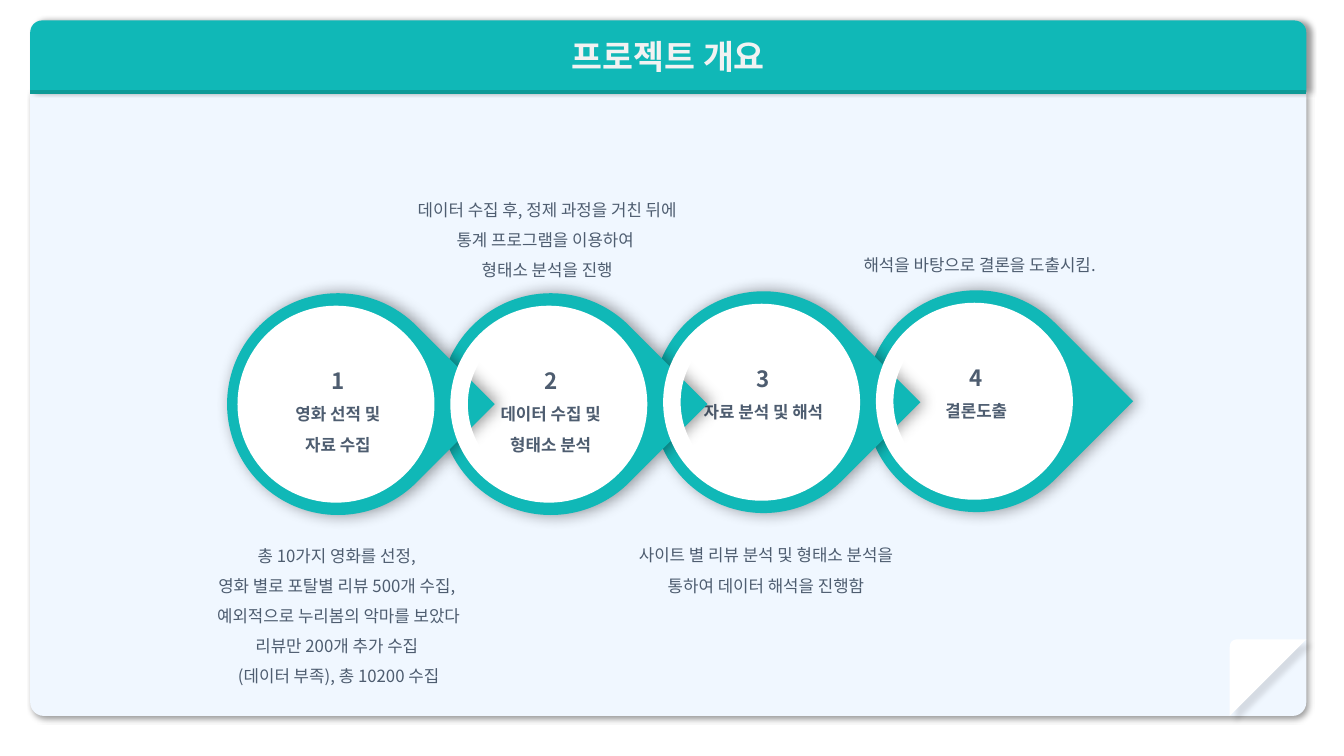
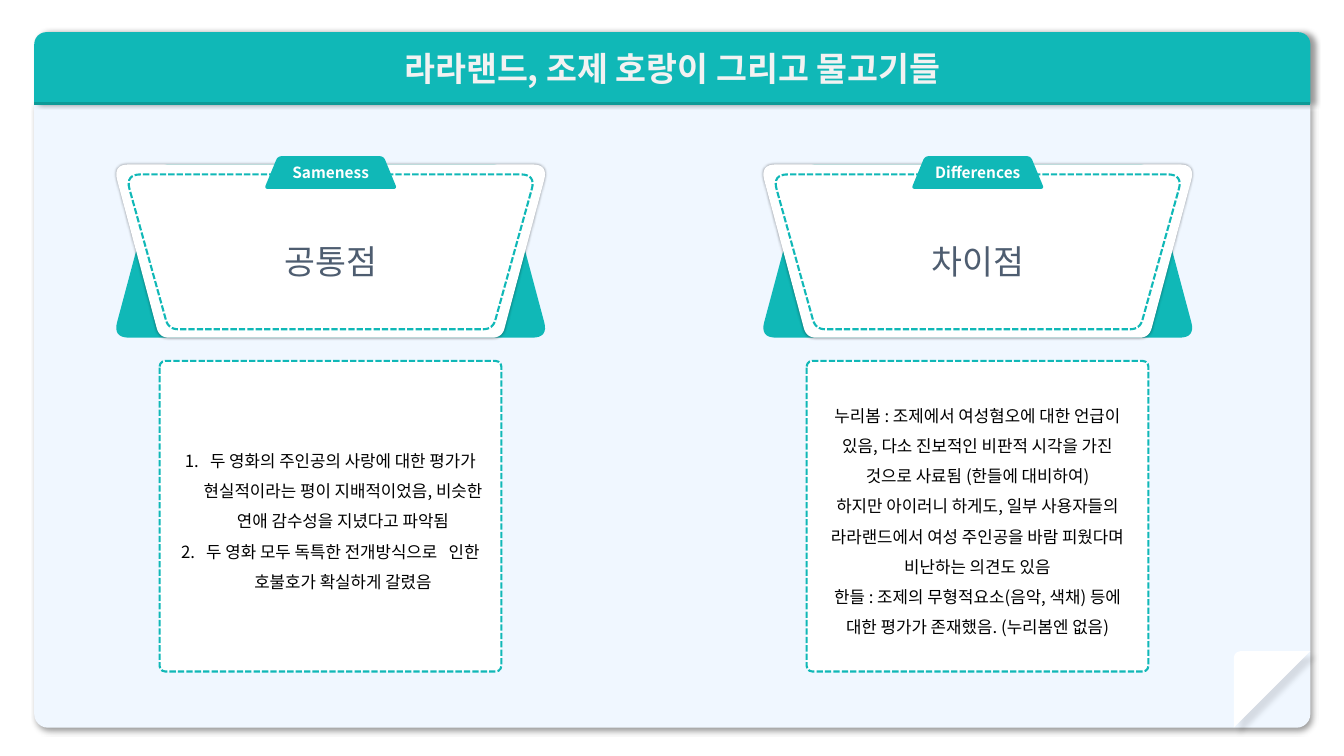
from math import hypot

from lxml import etree
from pptx import Presentation
from pptx.dml.color import RGBColor
from pptx.enum.dml import MSO_LINE
from pptx.enum.shapes import MSO_CONNECTOR, MSO_SHAPE
from pptx.enum.text import MSO_ANCHOR, MSO_AUTO_SIZE, PP_ALIGN
from pptx.oxml.ns import qn
from pptx.util import Pt

# Shared style
FONT = "Noto Sans CJK KR"
COLORS = {
    "teal": "10B8B7", "dark_teal": "0D9A97", "paper": "F0F7FF", "white": "FFFFFF",
    "title": "F2F2F2", "slate": "4E5D70", "black": "000000",
}
CENTER = PP_ALIGN.CENTER
MIDDLE, TOP = MSO_ANCHOR.MIDDLE, MSO_ANCHOR.TOP
NO_AUTOFIT = MSO_AUTO_SIZE.NONE
DASH = MSO_LINE.SQUARE_DOT
STRAIGHT = MSO_CONNECTOR.STRAIGHT
BAND, OVAL = MSO_SHAPE.ROUND_2_SAME_RECTANGLE, MSO_SHAPE.OVAL
DROP, ROUNDED = MSO_SHAPE.TEAR, MSO_SHAPE.ROUNDED_RECTANGLE
TITLE_ONLY = 5

FRAME_WIDTH, BAND_HEIGHT, PAPER_HEIGHT, FOLD = 911.5, 51.1, 445.7, 54.7
DROP_SIZE, DISC_SIZE, RING_SIZE = 158.4, 121, 128.2

# Slide content
FIRST_STEP_X, STEP_PITCH = 241.4, 152
STEPS = [  # centre y, heading lines, bottom inset
    (288.7, ["영화 선적 및", "자료 수집"], 3.6),
    (288.7, ["데이터 수집 및", "형태소 분석"], 3.6),
    (287.3, ["자료 분석 및 해석"], 25.2),
    (286.6, ["결론도출"], 25.2),
]
CAPTIONS = [  # left, top, height, paragraphs
    (136.8, 378.7, 113.8, ["총 10가지 영화를 선정, ", "영화 별로 포탈별 리뷰 500개 수집, ",
                           "예외적으로 누리봄의 악마를 보았다 리뷰만 200개 추가 수집 ",
                           "(데이터 부족), 총 10200 수집"]),
    (285.8, 131.8, 69.8, ["데이터 수집 후, 정제 과정을 거친 뒤에 통계 프로그램을 이용하여 ",
                          "형태소 분석을 진행"]),
    (442.1, 378.7, 48.2, ["사이트 별 리뷰 분석 및 형태소 분석을 통하여 데이터 해석을 진행함"]),
    (594.7, 171.4, 25.9, ["해석을 바탕으로 결론을 도출시킴."]),
]
FIRST_PANEL_X, PANEL_PITCH = 236.2, 462.2
PANELS = [  # tab, heading, paragraphs, numbered
    ("Sameness", "공통점",
     ["두 영화의 주인공의 사랑에 대한 평가가 현실적이라는 평이 지배적이었음, "
      "비슷한 연애 감수성을 지녔다고 파악됨",
      "두 영화 모두 독특한 전개방식으로   인한 호불호가 확실하게 갈렸음"], True),
    ("Differences", "차이점",
     ["누리봄 : 조제에서 여성혐오에 대한 언급이 있음, 다소 진보적인 비판적 시각을 가진 "
      "것으로 사료됨 (한들에 대비하여)",
      "하지만 아이러니 하게도, 일부 사용자들의 라라랜드에서 여성 주인공을 바람 피웠다며 "
      "비난하는 의견도 있음",
      "한들 : 조제의 무형적요소(음악, 색채) 등에 대한 평가가 존재했음. (누리봄엔 없음)"], False),
]


def rgb(name):
    return RGBColor.from_string(COLORS[name])


def style(shape, fill=None, line=None, weight=1.5, dashed=False, shadow=None):
    """Set fill, outline and shadow; shadow is (alpha, blur, distance, angle)."""
    if fill:
        shape.fill.solid()
        shape.fill.fore_color.rgb = rgb(fill)
    else:
        shape.fill.background()
    if line:
        shape.line.color.rgb = rgb(line)
        shape.line.width = Pt(weight)
        if dashed:
            shape.line.dash_style = DASH
    else:
        shape.line.fill.background()
    shape.shadow.inherit = False
    if shadow:
        alpha, blur, distance, angle = shadow
        effects = shape.element.spPr.find(qn("a:effectLst"))
        outer = etree.SubElement(
            effects, qn("a:outerShdw"), blurRad=str(Pt(blur)), dist=str(Pt(distance)),
            dir=str(angle * 60000), algn="ctr", rotWithShape="0")
        color = etree.SubElement(outer, qn("a:srgbClr"), val=COLORS["black"])
        etree.SubElement(color, qn("a:alpha"), val=str(alpha * 1000))


def add_preset(slide, kind, left, top, width, height, **look):
    shape = slide.shapes.add_shape(kind, Pt(left), Pt(top), Pt(width), Pt(height))
    style(shape, **look)
    return shape


def add_round(slide, kind, x, y, size, **look):
    """Add a square-framed preset centred on x, y."""
    return add_preset(slide, kind, x - size / 2, y - size / 2, size, size, **look)


def write(shape, lines, color, size=12, bold=False, spacing=1.5, anchor=MIDDLE,
          wrap=True, numbered=False):
    """Write centred paragraphs; a line may be a (text, size) pair."""
    frame = shape.text_frame
    frame.word_wrap = wrap
    frame.auto_size = NO_AUTOFIT
    frame.vertical_anchor = anchor
    for index, line in enumerate(lines):
        text, points = line if isinstance(line, tuple) else (line, size)
        paragraph = frame.add_paragraph() if index else frame.paragraphs[0]
        paragraph.alignment = CENTER
        paragraph.line_spacing = spacing
        if numbered:
            properties = paragraph._p.get_or_add_pPr()
            properties.set("marL", str(Pt(18)))
            properties.set("indent", str(Pt(-18)))
            etree.SubElement(properties, qn("a:buAutoNum"), type="arabicPeriod")
        run = paragraph.add_run()
        run.text = text
        run.font.name = FONT
        run.font.size = Pt(points)
        run.font.bold = bold
        run.font.color.rgb = rgb(color)
        etree.SubElement(run._r.get_or_add_rPr(), qn("a:ea"), typeface=FONT)


def toward(start, end, distance):
    ratio = distance / hypot(end[0] - start[0], end[1] - start[1])
    return tuple(a + (b - a) * ratio for a, b in zip(start, end))


def add_polygon(slide, corners, cuts, **look):
    """Add a polygon whose corners are rounded over the given cut lengths."""
    points = []
    for index, (corner, cut) in enumerate(zip(corners, cuts)):
        if not cut:
            points.append(corner)
            continue
        start = toward(corner, corners[index - 1], cut)
        end = toward(corner, corners[(index + 1) % len(corners)], cut)
        for step in range(9):
            t = step / 8
            points.append(tuple((1 - t) ** 2 * a + 2 * t * (1 - t) * b + t * t * c
                                for a, b, c in zip(start, corner, end)))
    points = [(Pt(x), Pt(y)) for x, y in points]
    builder = slide.shapes.build_freeform(*points[0])
    builder.add_line_segments(points[1:], close=True)
    shape = builder.convert_to_shape()
    style(shape, **look)
    return shape


def add_trapezoid(slide, x, top, height, half_top, half_bottom, cut_top, cut_bottom, **look):
    bottom = top + height
    corners = [(x - half_top, top), (x + half_top, top),
               (x + half_bottom, bottom), (x - half_bottom, bottom)]
    return add_polygon(slide, corners, [cut_top, cut_top, cut_bottom, cut_bottom], **look)


def add_framed_slide(presentation, title_text, left, top):
    """Add a slide with the paper, title band and folded corner."""
    slide = presentation.slides.add_slide(presentation.slide_layouts[TITLE_ONLY])
    paper_top = top + BAND_HEIGHT
    right, bottom = left + FRAME_WIDTH, paper_top + PAPER_HEIGHT
    paper = add_preset(slide, BAND, left, paper_top, FRAME_WIDTH, PAPER_HEIGHT,
                       fill="paper", shadow=(40, 4, 3, 45))
    paper.adjustments[0], paper.adjustments[1] = 0, 0.022
    add_preset(slide, BAND, left, top, FRAME_WIDTH, BAND_HEIGHT,
               fill="teal", shadow=(40, 4, 3, 0))
    # Title sits on the band
    title = slide.shapes.title
    title.left, title.top = Pt(left), Pt(top)
    title.width, title.height = Pt(FRAME_WIDTH), Pt(BAND_HEIGHT)
    write(title, [title_text], "title", size=24, bold=True, spacing=1.0)
    title.element.getparent().append(title.element)
    # Rule under the band
    rule = slide.shapes.add_connector(STRAIGHT, Pt(left), Pt(paper_top), Pt(right), Pt(paper_top))
    rule.line.color.rgb = rgb("dark_teal")
    rule.line.width = Pt(2.5)
    etree.SubElement(rule.element.spPr, qn("a:effectLst"))
    # Folded corner
    fold = [(right - FOLD, bottom), (right - FOLD, bottom - FOLD), (right, bottom - FOLD)]
    add_polygon(slide, fold, [0, 6, 0], fill="white", shadow=(11, 4, 6, 45))
    return slide


def add_step(slide, number, x, y, lines, bottom_inset):
    drop = add_round(slide, DROP, x, y, DROP_SIZE, fill="teal", shadow=(40, 11, 3, 0))
    drop.rotation = 45
    disc = add_round(slide, OVAL, x, y, DISC_SIZE, fill="white", shadow=(40, 6, 0, 0))
    write(disc, [(str(number), 16), *lines], "slate", bold=True, wrap=False)
    disc.text_frame.margin_bottom = Pt(bottom_inset)


def add_caption(slide, left, top, height, lines):
    box = slide.shapes.add_textbox(Pt(left), Pt(top), Pt(210.2), Pt(height))
    write(box, lines, "slate", anchor=TOP)


def add_panel(slide, x, tab_text, heading, lines, numbered):
    add_trapezoid(slide, x, 117.4, 123.8, 122.4, 155.5, 7, 11.5, fill="teal")
    card = add_trapezoid(slide, x, 117.4, 123.8, 155.5, 122.4, 11.5, 7,
                         fill="white", shadow=(40, 2, 0, 0))
    write(card, [heading], "slate", size=24)
    add_trapezoid(slide, x, 124.6, 110.6, 146.6, 115.8, 11, 7, line="teal", dashed=True)
    tab = add_trapezoid(slide, x, 111.6, 23.4, 37.8, 47.5, 3, 3, fill="teal")
    write(tab, [tab_text], "white", size=11, bold=True, spacing=1.0)
    box = add_preset(slide, ROUNDED, x - 122.2, 257.8, 244.1, 221.8,
                     fill="white", line="teal", dashed=True)
    box.adjustments[0] = 0.018
    write(box, lines, "black", numbered=numbered)


def build_overview(presentation):
    slide = add_framed_slide(presentation, "프로젝트 개요", 21.6, 14.6)
    steps = [(index + 1, FIRST_STEP_X + index * STEP_PITCH, *step)
             for index, step in enumerate(STEPS)]
    for step in reversed(steps):
        add_step(slide, *step)
    for _, x, y, *_ in steps:
        add_round(slide, OVAL, x - 1.4, y, RING_SIZE, line="white", weight=12.5)
    for caption in CAPTIONS:
        add_caption(slide, *caption)


def build_comparison(presentation):
    slide = add_framed_slide(presentation, "라라랜드, 조제 호랑이 그리고 물고기들", 24.5, 23)
    for index, panel in enumerate(PANELS):
        add_panel(slide, FIRST_PANEL_X + index * PANEL_PITCH, *panel)


def main():
    presentation = Presentation()
    presentation.slide_width, presentation.slide_height = Pt(960), Pt(540)
    build_overview(presentation)
    build_comparison(presentation)
    presentation.save("out.pptx")


main()
